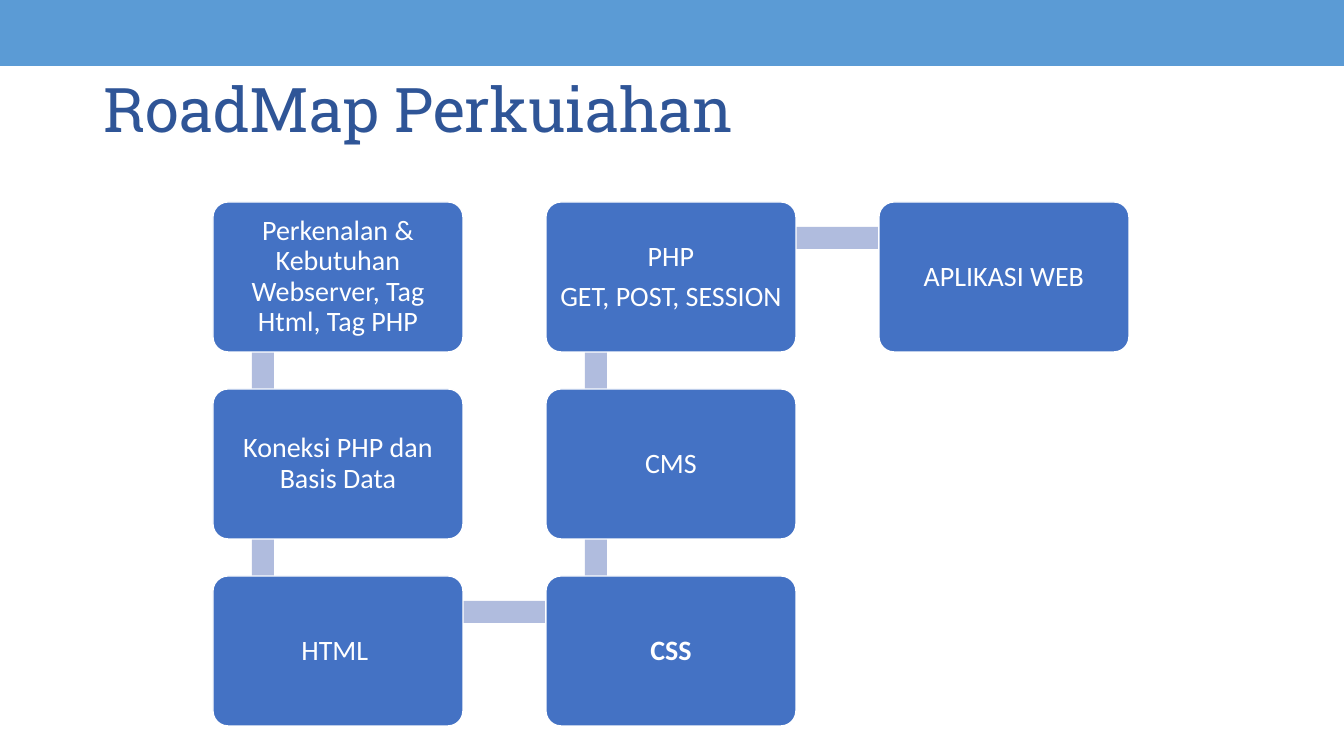
from itertools import pairwise

from pptx import Presentation
from pptx import util as u
from pptx.dml.color import RGBColor
from pptx.enum import shapes, text


class Theme:
    """Colours, fonts and type sizes of the slide."""
    band = "5B9BD5"
    title = "2F5597"
    card = "4472C4"
    link = "B0BCDE"
    white = "FFFFFF"
    title_font = "Roboto Slab"
    body_font = "Calibri"
    title_size = 44
    body_size = 20
    line_spacing = 0.9
    paragraph_gap = 7


PIXEL = 914400 / 100.8
SLIDE_SIZE = (1344, 756)
CARD_SIZE = (250, 150)
FIRST_CARD = (213, 202)
STEP = (333, 187)
LINK_ANCHOR = (50, 36)
LINK_THICKNESS = 22

# Column, row, lines of text, bold; in the order of the course
STAGES = [
    (0, 0, ["Perkenalan & Kebutuhan Webserver, Tag Html, Tag PHP"], False),
    (0, 1, ["Koneksi PHP dan Basis Data"], False),
    (0, 2, ["HTML "], False),
    (1, 2, ["CSS"], True),
    (1, 1, ["CMS"], False),
    (1, 0, ["PHP", "GET, POST, SESSION"], False),
    (2, 0, ["APLIKASI WEB"], False),
]


def px(length):
    """Turn pixels into EMU."""
    return u.Emu(round(length * PIXEL))


class RoadMapSlide:
    """Holds the theme and the current slide."""

    def __init__(self, deck, theme):
        """Add a title-only slide to the deck."""
        self.theme = theme
        self.page = deck.slides.add_slide(deck.slide_layouts[5])

    def add_span(self, para, words, font, size, color, bold=False):
        """Add one formatted run to a paragraph."""
        para.line_spacing = self.theme.line_spacing
        span = para.add_run()
        span.text = words
        span.font.name = font
        span.font.size = u.Pt(size)
        span.font.bold = bold
        span.font.color.rgb = RGBColor.from_string(color)

    def title(self, words, left, top, width, height):
        """Place and fill the title placeholder."""
        box = self.page.shapes.title
        box.left, box.top = px(left), px(top)
        box.width, box.height = px(width), px(height)
        frame = box.text_frame
        frame.auto_size = text.MSO_AUTO_SIZE.NONE
        frame.vertical_anchor = text.MSO_ANCHOR.MIDDLE
        para = frame.paragraphs[0]
        para.alignment = text.PP_ALIGN.LEFT
        self.add_span(para, words, self.theme.title_font,
                      self.theme.title_size, self.theme.title)

    def block(self, left, top, width, height, fill,
              kind=shapes.MSO_SHAPE.RECTANGLE):
        """Draw a plain filled shape without outline."""
        box = self.page.shapes.add_shape(
            kind, px(left), px(top), px(width), px(height))
        box.shadow.inherit = False
        box.fill.solid()
        box.fill.fore_color.rgb = RGBColor.from_string(fill)
        box.line.fill.background()
        return box

    def link(self, start, end):
        """Draw a thick bar between the anchors of two cards."""
        (x1, x2), (y1, y2) = (sorted(pair) for pair in zip(start, end))
        half = LINK_THICKNESS // 2
        if x1 == x2:
            self.block(x1 - half, y1, LINK_THICKNESS, y2 - y1, self.theme.link)
        else:
            self.block(x1, y1 - half, x2 - x1, LINK_THICKNESS, self.theme.link)

    def card(self, left, top, lines, bold):
        """Draw a rounded card with centred text."""
        box = self.block(left, top, *CARD_SIZE, self.theme.card,
                         shapes.MSO_SHAPE.ROUNDED_RECTANGLE)
        box.adjustments[0] = 0.1
        box.line.color.rgb = RGBColor.from_string(self.theme.white)
        box.line.width = u.Pt(1)
        frame = box.text_frame
        frame.word_wrap = True
        frame.vertical_anchor = text.MSO_ANCHOR.MIDDLE
        frame.margin_left = frame.margin_right = px(8)
        frame.margin_top = frame.margin_bottom = px(8)
        for index, words in enumerate(lines):
            para = frame.add_paragraph() if index else frame.paragraphs[0]
            para.alignment = text.PP_ALIGN.CENTER
            if index < len(lines) - 1:
                para.space_after = u.Pt(self.theme.paragraph_gap)
            self.add_span(para, words, self.theme.body_font,
                          self.theme.body_size, self.theme.white, bold)


def corner(column, row):
    """Give the top left corner of a card in the grid."""
    return FIRST_CARD[0] + column * STEP[0], FIRST_CARD[1] + row * STEP[1]


def main():
    """Build and save the road map."""
    deck = Presentation()
    deck.slide_width, deck.slide_height = map(px, SLIDE_SIZE)
    slide = RoadMapSlide(deck, Theme())
    slide.block(0, 0, SLIDE_SIZE[0], 66, slide.theme.band)
    slide.title("RoadMap Perkuiahan", 93, 40, 1159, 146)

    corners = [corner(column, row) for column, row, *_ in STAGES]
    anchors = [(x + LINK_ANCHOR[0], y + LINK_ANCHOR[1]) for x, y in corners]
    for start, end in pairwise(anchors):
        slide.link(start, end)
    for (left, top), (_, _, lines, bold) in zip(corners, STAGES):
        slide.card(left, top, lines, bold)
    deck.save("out.pptx")


main()
